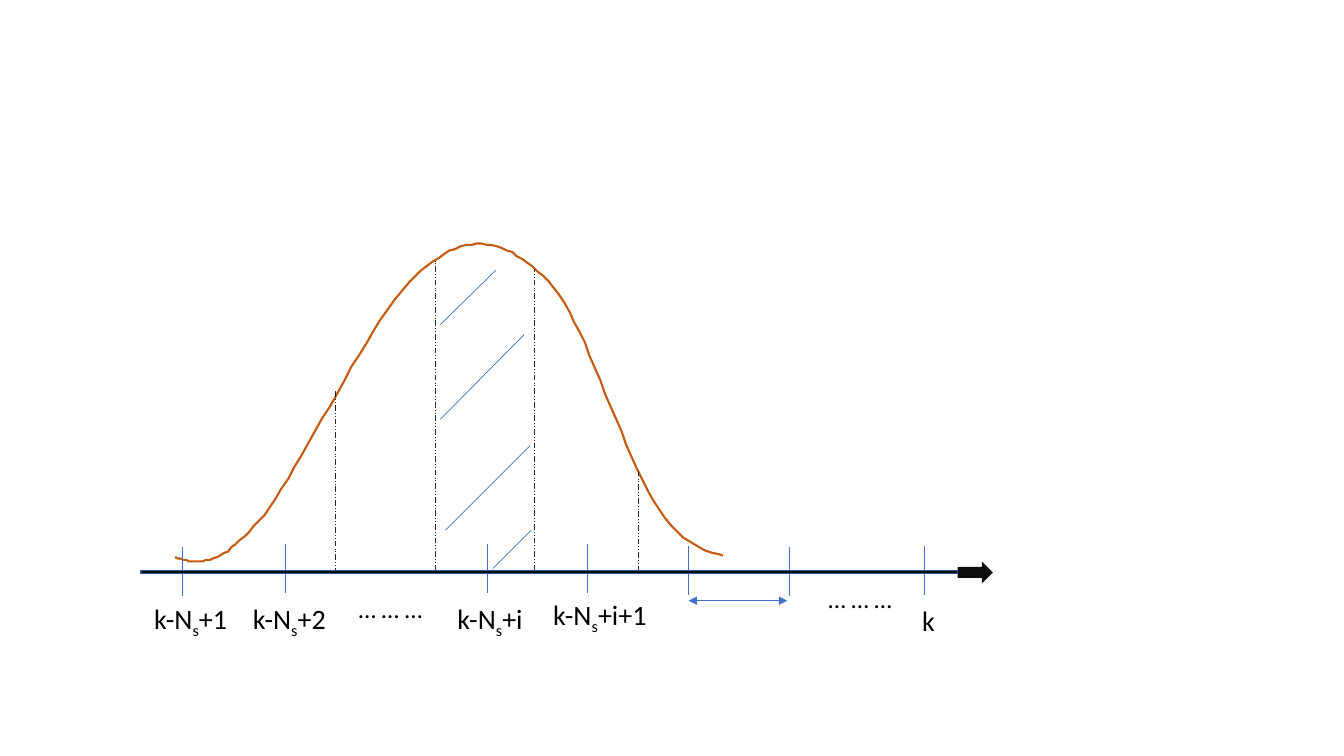
"""Build a slide with a bell curve over a discrete sample axis."""
from dataclasses import dataclass

from lxml.etree import SubElement
from pptx import Presentation
from pptx.dml.color import RGBColor
from pptx.enum.dml import MSO_LINE
from pptx.enum.shapes import MSO_CONNECTOR as Connector, MSO_SHAPE as Preset
from pptx.enum.text import MSO_AUTO_SIZE as AutoSize
from pptx.oxml.ns import qn
from pptx.util import Pt


@dataclass(frozen=True)
class Theme:
    """Colours, font and sizes of the diagram."""
    curve: str = "C55A11"
    blue: str = "4472C4"
    axis_edge: str = "325491"
    axis: str = "0D0D0D"
    divider: str = "262626"
    text: str = "000000"
    white: str = "FFFFFF"
    font: str = "Calibri"
    label_size: float = 20
    dots_size: float = 18
    thin: float = 0.5
    edge: float = 1
    thick: float = 1.5


THEME = Theme()
TICK_HEIGHT = 34.6
CURVE_STEPS = 24
CURVE_START = (125.3, 398.2)
CURVE_SEGMENTS = [
    ((140.4, 402.5), (155.5, 406.8), (185, 372.2)),
    ((213.8, 338.4), (266.4, 221.8), (301, 193)),
    ((335.5, 164.2), (360.7, 169.9), (391.7, 200.9)),
    ((421.9, 231.8), (449.3, 347.8), (483.8, 380.2)),
    ((518.4, 412.6), (582.5, 396.7), (597.6, 396.7)),
]
TICKS = [(130.3, 391), (203.8, 388.8), (347.8, 388.8), (419.8, 388.8),
         (491.8, 390.2), (563.8, 391), (660.2, 390.2)]
DIVIDERS = [(239.8, 409.7, 279.4), (311, 407.5, 186.5),
            (381.6, 407.5, 192.2), (455.8, 408.2, 336.2)]
HATCHES = [((314.6, 231.8), (354.2, 193)), ((314.6, 299.5), (374.4, 239)),
           ((318.2, 378.7), (378.7, 318.2)), ((352.1, 406.1), (379.4, 378.7))]
LABELS = [
    (("k-N", "s", "+1"), (103, 426.2, 68.4, 31.7), THEME.label_size),
    (("k-N", "s", "+2"), (173.5, 426.2, 68.4, 31.7), THEME.label_size),
    (("… … …",), (249.1, 420.5, 65.5, 23.8), THEME.dots_size),
    (("k-N", "s", "+i"), (319.7, 426.2, 63.4, 31.7), THEME.label_size),
    (("k-N", "s", "+i+1"), (388.1, 423.4, 83.5, 31.7), THEME.label_size),
    (("… … …",), (584.6, 413.3, 65.5, 23.8), THEME.dots_size),
    (("k",), (651.6, 427.7, 23.8, 31.7), THEME.label_size),
]


def color(value):
    """Turn a hex string into a colour."""
    return RGBColor.from_string(value)


def bezier_point(points, t):
    """Return the point at t on a cubic curve."""
    weights = ((1 - t) ** 3, 3 * t * (1 - t) ** 2, 3 * t * t * (1 - t), t ** 3)
    return tuple(sum(weight * point[axis] for weight, point in zip(weights, points))
                 for axis in (0, 1))


def add_curve(slide):
    """Draw the bell curve as a fine open outline."""
    vertices, start = [], CURVE_START
    for segment in CURVE_SEGMENTS:
        vertices += [bezier_point((start, *segment), step / CURVE_STEPS)
                     for step in range(1, CURVE_STEPS + 1)]
        start = segment[-1]
    builder = slide.shapes.build_freeform(*CURVE_START, scale=Pt(1))
    builder.add_line_segments(vertices, close=False)
    shape = builder.convert_to_shape()
    shape.shadow.inherit = False
    shape.fill.background()
    shape.line.color.rgb = color(THEME.curve)
    shape.line.width = Pt(THEME.thick)


def add_line(slide, start, end, line_color=THEME.blue, dash=None, arrows=False):
    """Draw a thin straight line, with optional dashes or arrowheads."""
    line = slide.shapes.add_connector(Connector.STRAIGHT, *map(Pt, (*start, *end)))
    line.line.color.rgb = color(line_color)
    line.line.width = Pt(THEME.thin)
    if dash is not None:
        line.line.dash_style = dash
    if arrows:
        outline = line.line._get_or_add_ln()
        for end_name in ("a:headEnd", "a:tailEnd"):
            SubElement(outline, qn(end_name), type="triangle")
    SubElement(line._element.spPr, qn("a:effectLst"))


def add_block(slide, preset, box, fill, edge=None):
    """Draw a filled preset shape with an optional edge."""
    shape = slide.shapes.add_shape(preset, *map(Pt, box))
    shape.shadow.inherit = False
    shape.fill.solid()
    shape.fill.fore_color.rgb = color(fill)
    if edge:
        shape.line.color.rgb = color(edge)
        shape.line.width = Pt(THEME.edge)
    else:
        shape.line.fill.background()


def add_label(slide, parts, box, size):
    """Write an axis label whose second part is a subscript."""
    frame = slide.shapes.add_textbox(*map(Pt, box)).text_frame
    frame.word_wrap = False
    frame.auto_size = AutoSize.SHAPE_TO_FIT_TEXT
    for index, part in enumerate(parts):
        run = frame.paragraphs[0].add_run()
        run.text = part
        run.font.name = THEME.font
        run.font.size = Pt(size)
        run.font.color.rgb = color(THEME.text)
        if index == 1:
            run._r.get_or_add_rPr().set("baseline", "-25000")


def main():
    """Build and save the slide."""
    presentation = Presentation()
    presentation.slide_width, presentation.slide_height = Pt(960), Pt(540)
    slide = presentation.slides.add_slide(presentation.slide_layouts[6])
    add_curve(slide)
    add_block(slide, Preset.RECTANGLE, (517, 333.4, 134.6, 70.6), THEME.white, THEME.white)
    add_line(slide, (126, 408.2), (700.6, 408.2))
    for x, top in TICKS:
        add_line(slide, (x, top), (x, top + TICK_HEIGHT))
    for x, bottom, top in DIVIDERS:
        add_line(slide, (x, bottom), (x, top), THEME.divider, MSO_LINE.DASH_DOT_DOT)
    for start, end in HATCHES:
        add_line(slide, start, end)
    add_line(slide, (491.8, 429.1), (562.3, 429.1), arrows=True)
    for parts, box, size in LABELS:
        add_label(slide, parts, box, size)
    add_block(slide, Preset.RIGHT_ARROW, (684, 401, 25.2, 15.8), THEME.axis)
    add_block(slide, Preset.RECTANGLE, (100.8, 407.5, 583.2, 2.2), THEME.axis, THEME.axis_edge)
    presentation.save("out.pptx")


if __name__ == "__main__":
    main()
